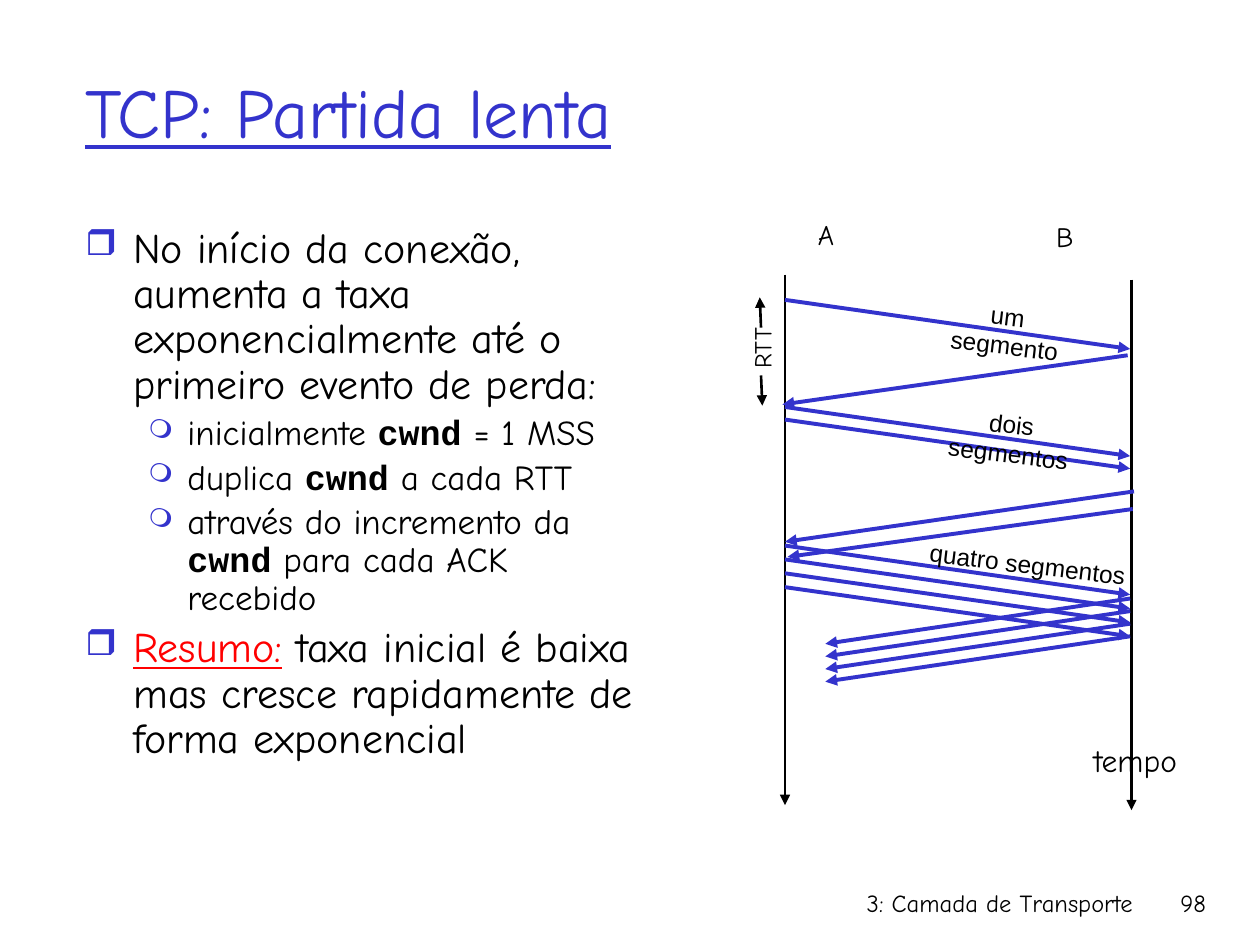
from dataclasses import dataclass

import pptx
import pptx.dml.color
import pptx.enum.shapes
import pptx.enum.text
import pptx.oxml.ns
import pptx.util
from lxml import etree
from pptx.util import Inches

COLORS = {"blue": "3333CC", "black": "000000", "red": "FF0000"}
FONT = "Comic Neue"
LABEL_FONT = "Arial"
CODE_FONT = "Courier New"
CENTER = pptx.enum.text.PP_ALIGN.CENTER
RIGHT = pptx.enum.text.PP_ALIGN.RIGHT

# Time axes of hosts A and B, and the shape of a message between them
HOST_A_X, HOST_B_X = 6.23, 8.97
MESSAGE_DROP = 0.39


@dataclass
class Label:
    text: str
    left: float
    top: float
    width: float
    height: float
    size: int = 14
    font: str = FONT
    color: str = "black"
    rotation: float = 0
    align: pptx.enum.text.PP_ALIGN | None = CENTER
    wrap: bool = False
    side_margin: float = 0.1
    underline: bool = False
    middle: bool = False


@dataclass
class Arrow:
    start_x: float
    start_y: float
    end_x: float
    end_y: float
    color: str = "blue"
    width: float = 2.25


@dataclass
class Piece:
    text: str
    font: str = FONT
    color: str = "black"
    bold: bool = False
    underline: bool = False


@dataclass
class Level:
    size: int
    indent: float
    hanging: float
    bullet: str
    bullet_percent: int


LEVELS = [Level(24, 0.38, 0.38, "❒", 85), Level(20, 0.81, 0.31, "❍", 75)]


def rgb(color: str) -> pptx.dml.color.RGBColor:
    return pptx.dml.color.RGBColor.from_string(COLORS[color])


def add_element(parent, tag: str, **attributes: str):
    element = etree.SubElement(parent, pptx.oxml.ns.qn(tag))
    for name, value in attributes.items():
        element.set(name, value)
    return element


def format_run(run, size: int, font: str, color: str,
               bold: bool = False, underline: bool = False) -> None:
    run.font.size = pptx.util.Pt(size)
    run.font.name = font
    run.font.color.rgb = rgb(color)
    run.font.bold = bold
    run.font.underline = underline


def draw_label(slide, label: Label) -> None:
    shape = slide.shapes.add_textbox(Inches(label.left), Inches(label.top),
                                     Inches(label.width), Inches(label.height))
    shape.rotation = label.rotation
    text_frame = shape.text_frame
    text_frame.word_wrap = label.wrap
    text_frame.margin_left = text_frame.margin_right = Inches(label.side_margin)
    if label.middle:
        text_frame.vertical_anchor = pptx.enum.text.MSO_ANCHOR.MIDDLE
    text_frame.text = label.text
    paragraph = text_frame.paragraphs[0]
    paragraph.alignment = label.align
    format_run(paragraph.runs[0], label.size, label.font, label.color,
               underline=label.underline)


def draw_arrow(slide, arrow: Arrow) -> None:
    connector = slide.shapes.add_connector(
        pptx.enum.shapes.MSO_CONNECTOR.STRAIGHT,
        Inches(arrow.start_x), Inches(arrow.start_y),
        Inches(arrow.end_x), Inches(arrow.end_y))
    connector.line.color.rgb = rgb(arrow.color)
    connector.line.width = pptx.util.Pt(arrow.width)
    add_element(connector.line._get_or_add_ln(), "a:tailEnd", type="triangle")
    add_element(connector._element.spPr, "a:effectLst")


def fill_bullet(paragraph, level_index: int, pieces: list[Piece], first: bool) -> None:
    level = LEVELS[level_index]
    properties = paragraph._p.get_or_add_pPr()
    properties.set("marL", str(Inches(level.indent)))
    properties.set("indent", str(-Inches(level.hanging)))
    bullet_color = add_element(properties, "a:buClr")
    add_element(bullet_color, "a:srgbClr", val=COLORS["blue"])
    add_element(properties, "a:buSzPct", val=str(level.bullet_percent * 1000))
    add_element(properties, "a:buChar", char=level.bullet)
    paragraph.level = level_index
    paragraph.line_spacing = 0.9
    if not first:
        paragraph.space_before = pptx.util.Pt(level.size * 0.2)
    for piece in pieces:
        run = paragraph.add_run()
        run.text = piece.text
        format_run(run, level.size, piece.font, piece.color, piece.bold, piece.underline)


def draw_body(slide) -> None:
    cwnd = Piece("cwnd", CODE_FONT, bold=True)
    bullets = [
        (0, [Piece("No início da conexão, aumenta a taxa exponencialmente "
                   "até o primeiro evento de perda:")]),
        (1, [Piece("inicialmente "), cwnd, Piece(" = 1 MSS")]),
        (1, [Piece("duplica "), cwnd, Piece(" a cada RTT")]),
        (1, [Piece("através do incremento da "), cwnd,
             Piece(" para cada ACK recebido")]),
        (0, [Piece("Resumo:", color="red", underline=True),
             Piece(" taxa inicial é baixa mas cresce rapidamente de forma exponencial")]),
    ]
    shape = slide.shapes.add_textbox(Inches(0.58), Inches(1.75), Inches(4.57), Inches(5.08))
    text_frame = shape.text_frame
    text_frame.word_wrap = True
    for index, (level_index, pieces) in enumerate(bullets):
        paragraph = text_frame.add_paragraph() if index else text_frame.paragraphs[0]
        fill_bullet(paragraph, level_index, pieces, first=index == 0)


def diagram_arrows() -> list[Arrow]:
    # Time axes and the two halves of the RTT span
    arrows = [Arrow(x, top, x, top + 4.21, "black", 1.5)
              for x, top in ((HOST_A_X, 2.18), (HOST_B_X + 0.01, 2.22))]
    arrows += [Arrow(6.04, 2.6, 6.03, 2.36, "black", 1.5),
               Arrow(6.04, 2.98, 6.05, 3.22, "black", 1.5)]
    # Segments: one, then two, then four
    segment_tops = [2.38, 3.23, 3.33] + [4.33 + 0.11 * i for i in range(4)]
    arrows += [Arrow(HOST_A_X, y, HOST_B_X, y + MESSAGE_DROP) for y in segment_tops]
    # Acknowledgements
    arrows += [Arrow(8.95, 2.82, 6.21, 3.21),
               Arrow(9, 3.9, 6.23, 4.3),
               Arrow(8.99, 4.04, 6.25, 4.42)]
    arrows += [Arrow(HOST_B_X, 4.75 + 0.1 * i, 6.55, 5.11 + 0.1 * i) for i in range(4)]
    return arrows


def main() -> None:
    presentation = pptx.Presentation()
    presentation.slide_width = Inches(10)
    presentation.slide_height = Inches(7.5)
    slide = presentation.slides.add_slide(presentation.slide_layouts[6])

    draw_body(slide)
    for arrow in diagram_arrows():
        draw_arrow(slide, arrow)

    labels = [
        # Title
        Label("TCP: Partida lenta", 0.58, 0.25, 8.5, 1.25, 40, color="blue",
              align=None, wrap=True, underline=True, middle=True),
        # Diagram labels
        Label("A", 6.37, 1.68, 0.37, 0.37, 16),
        Label("B", 8.28, 1.69, 0.34, 0.37, 16),
        Label("RTT", 5.75, 2.6, 0.59, 0.33, rotation=270),
        Label("um segmento", 7.31, 2.34, 1.38, 0.33, font=LABEL_FONT,
              rotation=6.8, wrap=True, side_margin=0.15),
        Label("dois segmentos", 7.25, 3.2, 1.56, 0.33, font=LABEL_FONT,
              rotation=6.8, wrap=True, side_margin=0.15),
        Label("quatro segmentos", 7.27, 4.31, 1.77, 0.34, font=LABEL_FONT, rotation=6.8),
        Label("tempo", 8.55, 5.83, 0.92, 0.4, 18),
        # Footer
        Label("3: Camada de Transporte", 5.92, 7, 3.17, 0.5, align=RIGHT, wrap=True),
        Label("98", 8.93, 7, 0.74, 0.5, align=RIGHT, wrap=True),
    ]
    for label in labels:
        draw_label(slide, label)

    presentation.save("out.pptx")


if __name__ == "__main__":
    main()
